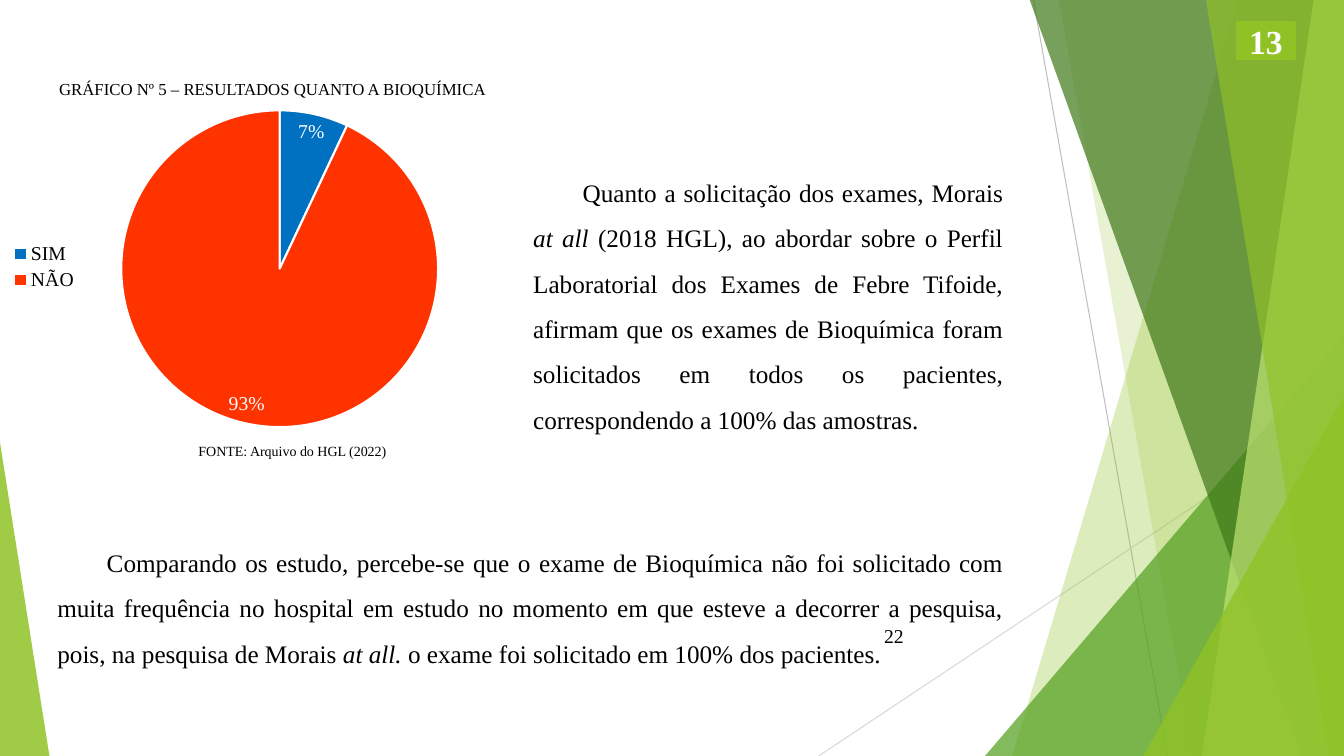
from typing import NamedTuple

from lxml import etree
from pptx import Presentation
from pptx.chart.data import CategoryChartData
from pptx.dml.color import RGBColor
from pptx.enum.chart import XL_CHART_TYPE, XL_LABEL_POSITION, XL_LEGEND_POSITION
from pptx.enum.shapes import MSO_CONNECTOR, MSO_SHAPE
from pptx.enum.text import MSO_ANCHOR, MSO_AUTO_SIZE, PP_ALIGN
from pptx.oxml.ns import qn
from pptx.util import Pt

PX = 9144  # 100 px to the inch
WIDTH, HEIGHT = 1333, 750
FONT = "Times New Roman"

BLACK = RGBColor(0x00, 0x00, 0x00)
WHITE = RGBColor(0xFF, 0xFF, 0xFF)
LIME = RGBColor(0x90, 0xC2, 0x26)
PALE_LIME = RGBColor(0xC0, 0xE4, 0x74)
GREEN = RGBColor(0x54, 0xA0, 0x21)
DARK_GREEN = RGBColor(0x3F, 0x78, 0x19)
GREY = RGBColor(0xBF, 0xBF, 0xBF)
LIGHT_GREY = RGBColor(0xD9, 0xD9, 0xD9)
BLUE = RGBColor(0x00, 0x70, 0xC0)
RED = RGBColor(0xFF, 0x33, 0x00)

LEFT, CENTER, JUSTIFY = PP_ALIGN.LEFT, PP_ALIGN.CENTER, PP_ALIGN.JUSTIFY
TOP, MIDDLE = MSO_ANCHOR.TOP, MSO_ANCHOR.MIDDLE
RECTANGLE, TRIANGLE = MSO_SHAPE.RECTANGLE, MSO_SHAPE.ISOSCELES_TRIANGLE


class Box(NamedTuple):
    x: int
    y: int
    w: int
    h: int

    def emu(self) -> tuple[int, ...]:
        return tuple(v * PX for v in self)


class Ray(NamedTuple):
    x1: int
    y1: int
    x2: int
    y2: int
    color: RGBColor


class Band(NamedTuple):
    """Area from a slanted left edge to the right side of the slide."""
    top_x: int
    bottom_x: int
    color: RGBColor
    opacity: int


class Wedge(NamedTuple):
    box: Box
    apex: float
    color: RGBColor
    opacity: int


class Label(NamedTuple):
    box: Box
    runs: list[tuple[str, bool]]  # text, italic
    size: int
    align: PP_ALIGN = LEFT
    wrap: bool = False
    spacing: float = 1.0
    after: int = 0
    indent: int = 0


class Plate(NamedTuple):
    box: Box
    text: str
    size: int
    fill: RGBColor
    line_width: float
    color: RGBColor
    align: PP_ALIGN
    anchor: MSO_ANCHOR
    bold: bool


RAYS = [Ray(1025, 0, 1158, 750, GREY), Ray(1333, 403, 812, 750, LIGHT_GREY)]
DECOR = [
    Band(1228, 1004, LIME, 30),
    Band(1050, 1183, LIME, 20),
    Wedge(Box(977, 333, 356, 417), 1, GREEN, 72),
    Band(1021, 1291, DARK_GREEN, 70),
    Band(1303, 1192, PALE_LIME, 70),
    Band(1196, 1318, LIME, 65),
    Wedge(Box(1134, 393, 199, 357), 1, LIME, 80),
    Wedge(Box(0, 439, 49, 311), 0, LIME, 85),
]
TITLE = Label(Box(47, 72, 447, 31),
              [("GRÁFICO Nº 5 – RESULTADOS QUANTO A BIOQUÍMICA", False)],
              12, CENTER, spacing=1.07, after=8)
PLATES = [
    Plate(Box(187, 434, 232, 31), "FONTE: Arquivo do HGL (2022)", 10,
          WHITE, 0.5, BLACK, JUSTIFY, TOP, False),
    Plate(Box(1227, 22, 57, 37), "13", 24, LIME, 1.5, WHITE, CENTER, MIDDLE, True),
]
BODY = [
    Label(Box(519, 156, 486, 278), [
        ("Quanto a solicitação dos exames, Morais ", False),
        ("at all", True),
        (" (2018 HGL), ao abordar sobre o Perfil Laboratorial dos Exames de Febre "
         "Tifoide, afirmam que os exames de Bioquímica foram solicitados em todos os "
         "pacientes, correspondendo a 100% das amostras.", False),
    ], 18, JUSTIFY, True, 1.5, 8, 49),
    Label(Box(47, 523, 958, 142), [
        ("Comparando os estudo", False),
        (",", True),
        (" percebe-se que o exame de Bioquímica não foi solicitado com muita "
         "frequência no hospital em estudo no momento em que esteve a decorrer a "
         "pesquisa, pois, na pesquisa de Morais ", False),
        ("at all.", True),
        (" o exame foi solicitado em 100% dos pacientes.", False),
    ], 18, JUSTIFY, True, 1.5, 8, 49),
    Label(Box(867, 614, 40, 34), [("22", False)], 14),
]
CHART_BOX = Box(0, 103, 572, 324)
PLOT_LAYOUT = {"x": 0.21, "y": 0.02, "w": 0.55, "h": 0.97}
SLICES = {"SIM": (0.07, BLUE), "NÃO": (0.93, RED)}


def set_font(font, size: int, color: RGBColor, bold: bool = False) -> None:
    font.name, font.size, font.bold = FONT, Pt(size), bold
    font.color.rgb = color


def draw_ray(slide, ray: Ray) -> None:
    ends = (v * PX for v in ray[:4])
    s = slide.shapes.add_connector(MSO_CONNECTOR.STRAIGHT, *ends)
    s.line.color.rgb = ray.color
    s.line.width = Pt(0.75)
    etree.SubElement(s.element.spPr, qn("a:effectLst"))


def draw_decor(slide, item: Band | Wedge) -> None:
    if isinstance(item, Band):
        fb = slide.shapes.build_freeform(item.top_x, -1, scale=PX)
        fb.add_line_segments([(WIDTH, -1), (WIDTH, HEIGHT), (item.bottom_x, HEIGHT)])
        s = fb.convert_to_shape()
    else:
        s = slide.shapes.add_shape(TRIANGLE, *item.box.emu())
        s.adjustments[0] = item.apex
    s.shadow.inherit = False
    s.fill.solid()
    s.fill.fore_color.rgb = item.color
    s.line.fill.background()
    clr = s.element.spPr.find(qn("a:solidFill")).find(qn("a:srgbClr"))
    etree.SubElement(clr, qn("a:alpha"), val=str(item.opacity * 1000))


def draw_label(slide, label: Label) -> None:
    tf = slide.shapes.add_textbox(*label.box.emu()).text_frame
    tf.word_wrap = label.wrap
    tf.auto_size = MSO_AUTO_SIZE.SHAPE_TO_FIT_TEXT
    p = tf.paragraphs[0]
    p.alignment, p.line_spacing, p.space_after = label.align, label.spacing, Pt(label.after)
    p._p.get_or_add_pPr().set("indent", str(label.indent * PX))
    set_font(p.font, label.size, BLACK)
    for text, italic in label.runs:
        r = p.add_run()
        r.text = text
        r.font.italic = italic


def draw_plate(slide, plate: Plate) -> None:
    s = slide.shapes.add_shape(RECTANGLE, *plate.box.emu())
    s.shadow.inherit = False
    s.fill.solid()
    s.fill.fore_color.rgb = s.line.color.rgb = plate.fill
    s.line.width = Pt(plate.line_width)
    tf = s.text_frame
    tf.word_wrap, tf.vertical_anchor = True, plate.anchor
    p = tf.paragraphs[0]
    p.text, p.alignment = plate.text, plate.align
    set_font(p.font, plate.size, plate.color, plate.bold)


def fix_plot_layout(chart) -> None:
    """Pin the inner plot area to fractions of the chart frame."""
    area = chart.plots[0]._element.getparent()
    for old in area.findall(qn("c:layout")):
        area.remove(old)
    layout = etree.Element(qn("c:layout"))
    area.insert(0, layout)
    manual = etree.SubElement(layout, qn("c:manualLayout"))
    settings = {"layoutTarget": "inner", "xMode": "edge", "yMode": "edge", **PLOT_LAYOUT}
    for tag, val in settings.items():
        etree.SubElement(manual, qn(f"c:{tag}"), val=str(val))


def draw_pie(slide) -> None:
    data = CategoryChartData(number_format="0%")
    data.categories = list(SLICES)
    data.add_series("Series 1", [value for value, _ in SLICES.values()])
    chart = slide.shapes.add_chart(XL_CHART_TYPE.PIE, *CHART_BOX.emu(), data).chart
    set_font(chart.font, 14, BLACK)
    chart.has_title = False
    chart.has_legend = True
    chart.legend.position = XL_LEGEND_POSITION.LEFT
    chart.legend.include_in_layout = False
    set_font(chart.legend.font, 14, BLACK)
    plot = chart.plots[0]
    plot.vary_by_categories = True
    for i, (_, color) in enumerate(SLICES.values()):
        fmt = plot.series[0].points[i].format
        fmt.fill.solid()
        fmt.fill.fore_color.rgb = color
        fmt.line.color.rgb = WHITE
        fmt.line.width = Pt(1.5)
    labels = plot.series[0].data_labels
    labels.show_value = True
    labels.number_format, labels.number_format_is_linked = "0%", False
    labels.position = XL_LABEL_POSITION.BEST_FIT
    set_font(labels.font, 14, WHITE)
    fix_plot_layout(chart)


def main() -> None:
    prs = Presentation()
    prs.slide_width, prs.slide_height = WIDTH * PX, HEIGHT * PX
    slide = prs.slides.add_slide(prs.slide_layouts[6])
    for ray in RAYS:
        draw_ray(slide, ray)
    for item in DECOR:
        draw_decor(slide, item)
    draw_label(slide, TITLE)
    draw_pie(slide)
    for plate in PLATES:
        draw_plate(slide, plate)
    for label in BODY:
        draw_label(slide, label)
    prs.save("out.pptx")


if __name__ == "__main__":
    main()
